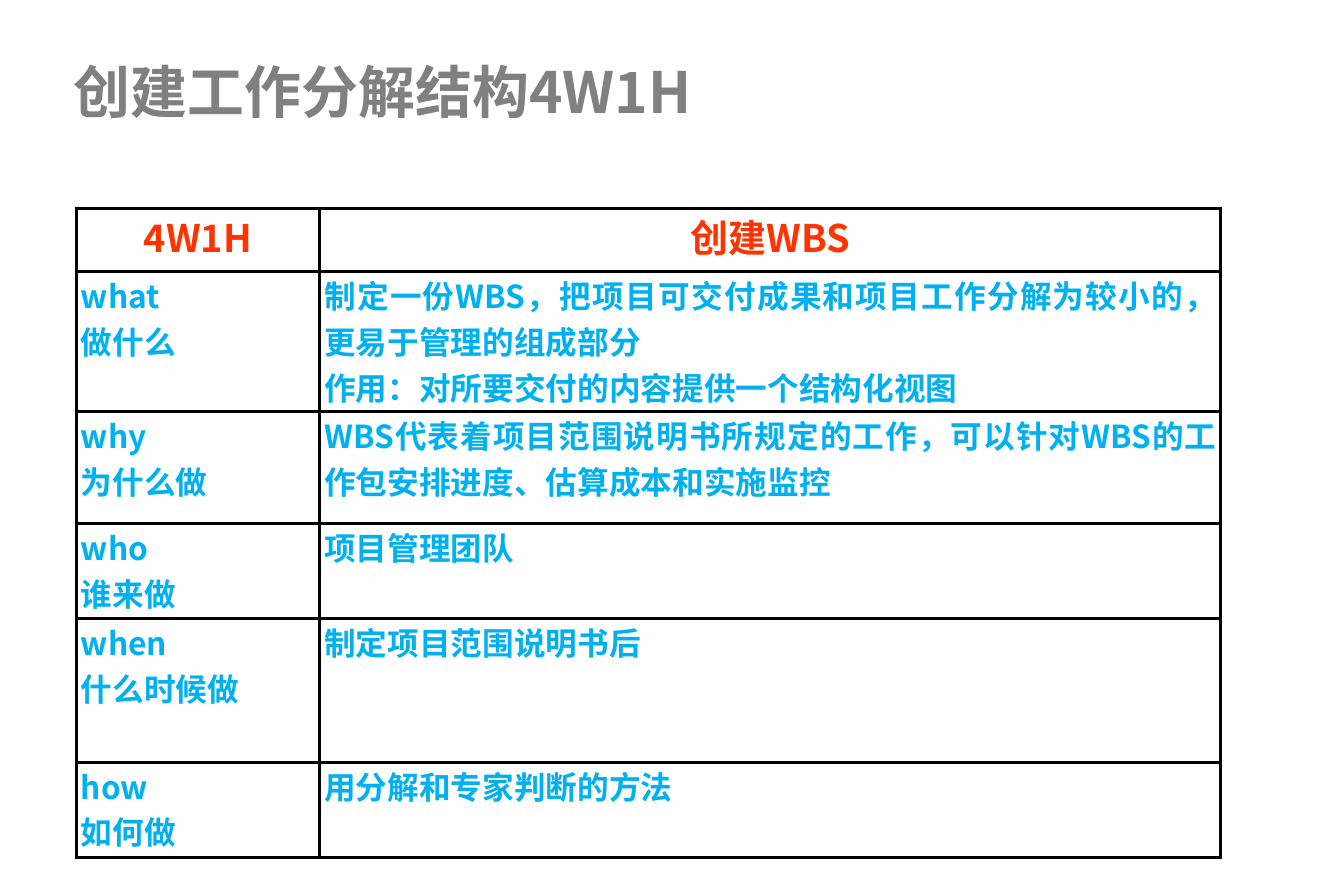
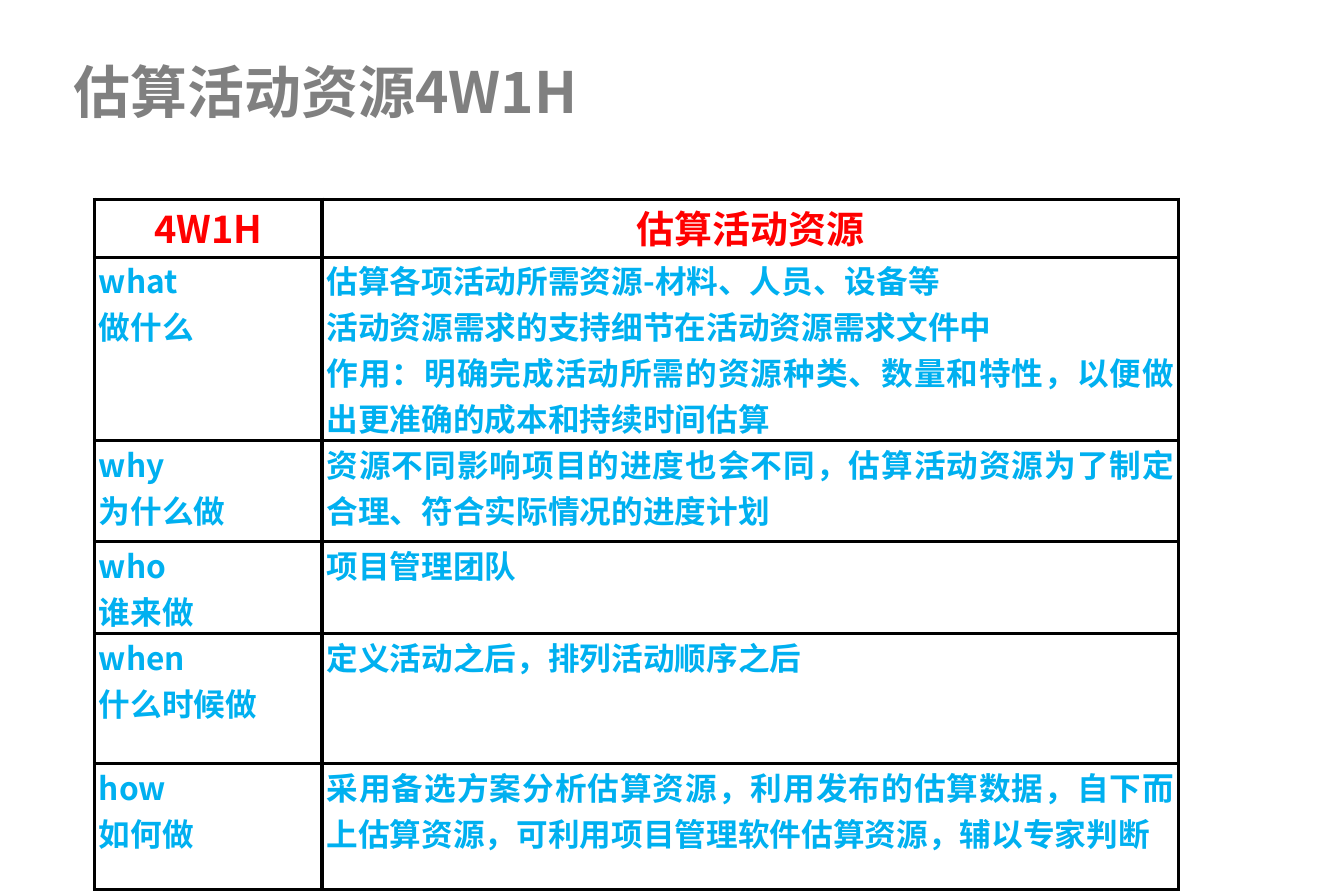
from dataclasses import dataclass

from lxml import etree
from pptx import Presentation
from pptx.dml.color import RGBColor
from pptx.enum.text import MSO_ANCHOR, MSO_AUTO_SIZE, PP_ALIGN
from pptx.oxml.ns import qn
from pptx.slide import Slide
from pptx.util import Inches, Pt

LEFT, CENTER, JUSTIFY = PP_ALIGN.LEFT, PP_ALIGN.CENTER, PP_ALIGN.JUSTIFY
MIDDLE, TOP = MSO_ANCHOR.MIDDLE, MSO_ANCHOR.TOP
NO_AUTOFIT = MSO_AUTO_SIZE.NONE

CM_PER_INCH = 2.54
SLIDE_WIDTH, SLIDE_HEIGHT = Inches(30 / CM_PER_INCH), Inches(20 / CM_PER_INCH)
FONT = "Noto Sans CJK SC"
COLORS = {
    "title": "808080",
    "orange_red": "FF3300",
    "red": "FF0000",
    "body": "00B0F0",
    "border": "000000",
    "cell": "FFFFFF",
}
BORDER_PT = 2.25
TITLE_ONLY = 5
TITLE_BOX = {"left": 0.54, "top": 0.49, "width": 10.63, "height": 0.62}
TITLE_FRAME = {
    "vertical_anchor": MIDDLE, "auto_size": NO_AUTOFIT, "word_wrap": True,
    "margin_left": Inches(0.11), "margin_right": Inches(0.11),
    "margin_top": Inches(0.06), "margin_bottom": Inches(0.06),
}
CELL_FORMAT = {
    "vertical_anchor": TOP,
    "margin_left": Inches(0.04), "margin_right": Inches(0.04),
    "margin_top": 0, "margin_bottom": 0,
}
QUESTIONS = ["what\n做什么", "why\n为什么做", "who\n谁来做", "when\n什么时候做", "how\n如何做"]


@dataclass(frozen=True)
class TextStyle:
    size: float
    color: str
    align: PP_ALIGN


@dataclass(frozen=True)
class Process:
    """One project process and its answers to the five 4W1H questions."""
    title: str
    heading: str
    heading_color: str
    left: float
    top: float
    columns: list[float]
    rows: list[float]
    answers: list[str]


TITLE_STYLE = TextStyle(36, "title", LEFT)
BODY_STYLE = TextStyle(20, "body", JUSTIFY)

PROCESSES = [
    Process(
        "创建工作分解结构4W1H", "创建WBS", "orange_red", 0.67, 1.83,
        [2.14, 7.92], [0.56, 1.23, 0.98, 0.84, 1.26, 0.84],
        [
            "制定一份WBS，把项目可交付成果和项目工作分解为较小的，更易于管理的组成部分\n"
            "作用：对所要交付的内容提供一个结构化视图",
            "WBS代表着项目范围说明书所规定的工作，可以针对WBS的工作包安排进度、估算成本和实施监控",
            "项目管理团队",
            "制定项目范围说明书后",
            "用分解和专家判断的方法",
        ],
    ),
    Process(
        "估算活动资源4W1H", "估算活动资源", "red", 0.83, 1.75,
        [2, 7.53], [0.51, 1.48, 0.89, 0.76, 1.14, 1.11],
        [
            "估算各项活动所需资源-材料、人员、设备等\n"
            "活动资源需求的支持细节在活动资源需求文件中\n"
            "作用：明确完成活动所需的资源种类、数量和特性，以便做出更准确的成本和持续时间估算",
            "资源不同影响项目的进度也会不同，估算活动资源为了制定合理、符合实际情况的进度计划",
            "项目管理团队",
            "定义活动之后，排列活动顺序之后",
            "采用备选方案分析估算资源，利用发布的估算数据，自下而上估算资源，"
            "可利用项目管理软件估算资源，辅以专家判断",
        ],
    ),
]


def apply_format(target, values: dict) -> None:
    for name, value in values.items():
        setattr(target, name, value)


def write_text(frame, text: str, style: TextStyle) -> None:
    frame.text = text
    for paragraph in frame.paragraphs:
        paragraph.alignment = style.align
        for run in paragraph.runs:
            apply_format(run.font, {"name": FONT, "size": Pt(style.size), "bold": True})
            run.font.color.rgb = RGBColor.from_string(COLORS[style.color])
            east_asian = etree.SubElement(run.font._element, qn("a:ea"))
            east_asian.set("typeface", FONT)


def add_borders(cell) -> None:
    properties = cell._tc.get_or_add_tcPr()
    for side in ("lnL", "lnR", "lnT", "lnB"):
        line = etree.SubElement(properties, qn(f"a:{side}"), w=str(Pt(BORDER_PT)))
        fill = etree.SubElement(line, qn("a:solidFill"))
        etree.SubElement(fill, qn("a:srgbClr"), val=COLORS["border"])


def fill_cell(cell, text: str, style: TextStyle) -> None:
    apply_format(cell, CELL_FORMAT)
    add_borders(cell)
    cell.fill.solid()
    cell.fill.fore_color.rgb = RGBColor.from_string(COLORS["cell"])
    write_text(cell.text_frame, text, style)


def add_title(slide: Slide, text: str) -> None:
    title = slide.shapes.title
    apply_format(title, {side: Inches(length) for side, length in TITLE_BOX.items()})
    apply_format(title.text_frame, TITLE_FRAME)
    write_text(title.text_frame, text, TITLE_STYLE)


def add_process_table(slide: Slide, process: Process) -> None:
    table = slide.shapes.add_table(
        len(process.rows), len(process.columns),
        Inches(process.left), Inches(process.top),
        Inches(sum(process.columns)), Inches(sum(process.rows)),
    ).table
    apply_format(table, {"first_row": False, "horz_banding": False})
    for column, width in zip(table.columns, process.columns):
        column.width = Inches(width)
    for row, height in zip(table.rows, process.rows):
        row.height = Inches(height)

    heading_style = TextStyle(24, process.heading_color, CENTER)
    entries = [("4W1H", process.heading), *zip(QUESTIONS, process.answers)]
    for row_index, entry in enumerate(entries):
        style = BODY_STYLE if row_index else heading_style
        for column_index, text in enumerate(entry):
            fill_cell(table.cell(row_index, column_index), text, style)


def main() -> None:
    deck = Presentation()
    apply_format(deck, {"slide_width": SLIDE_WIDTH, "slide_height": SLIDE_HEIGHT})
    for process in PROCESSES:
        slide = deck.slides.add_slide(deck.slide_layouts[TITLE_ONLY])
        add_title(slide, process.title)
        add_process_table(slide, process)
    deck.save("out.pptx")


if __name__ == "__main__":
    main()
